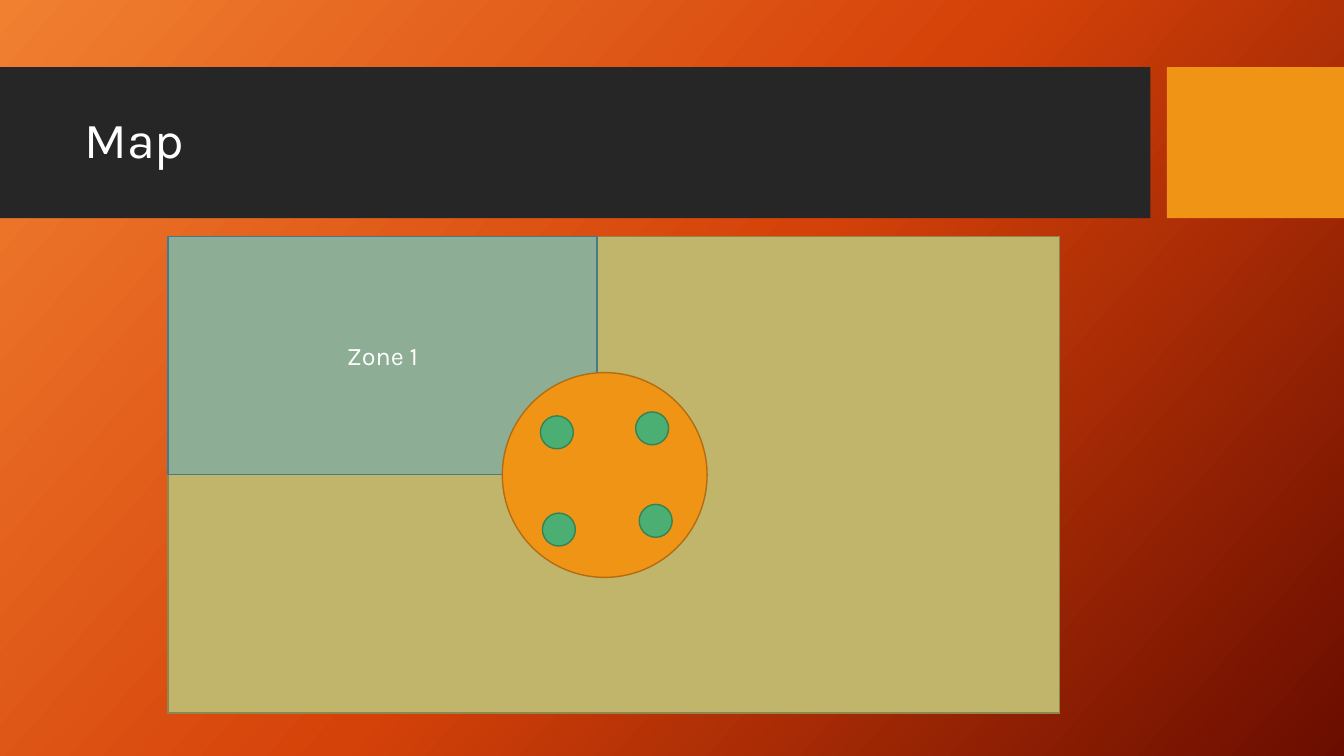
import copy

import pptx
import pptx.dml.color
import pptx.enum.shapes
import pptx.enum.text
import pptx.oxml
import pptx.oxml.ns
import pptx.util

Cm = pptx.util.Cm
Pt = pptx.util.Pt
SHAPE = pptx.enum.shapes.MSO_SHAPE
ALIGN = pptx.enum.text.PP_ALIGN
ANCHOR = pptx.enum.text.MSO_ANCHOR
qn = pptx.oxml.ns.qn

COLORS = {
    "glow": "F18031", "flame": "D54209", "ember": "6A0D00",
    "banner": "262626", "accent": "F09415", "accent_edge": "B26D10",
    "land": "C1B56B", "land_edge": "8F864F",
    "zone": "5AA6C0", "zone_edge": "437B8E",
    "spot": "4BAF73", "spot_edge": "378155", "text": "FFFFFF",
}


def rgb(name):
    return pptx.dml.color.RGBColor.from_string(COLORS[name])


class MapSlide:
    font = "Karla"
    edge_width = Pt(1)

    def __init__(self, deck):
        self.slide = deck.slides.add_slide(deck.slide_layouts[6])

    def background(self, names, angle):
        fill = self.slide.background.fill
        fill.gradient()
        fill.gradient_angle = 360 - angle  # the property runs counter-clockwise
        stop_list = next(self.slide.element.iter(qn("a:gsLst")))
        while len(stop_list) < len(names):
            stop_list.append(copy.deepcopy(stop_list[0]))
        for i, (stop, name) in enumerate(zip(fill.gradient_stops, names)):
            stop.position = i / (len(names) - 1)
            stop.color.rgb = rgb(name)

    def block(self, kind, box, fill, edge=None, opacity=None):
        block = self.slide.shapes.add_shape(kind, *map(Cm, box))
        block.shadow.inherit = False
        block.fill.solid()
        block.fill.fore_color.rgb = rgb(fill)
        if opacity is not None:
            color = next(block.element.iter(qn("a:srgbClr")))
            alpha = pptx.oxml.parse_xml(
                f'<a:alpha {pptx.oxml.ns.nsdecls("a")} val="{opacity * 1000}"/>')
            color.append(alpha)
        if edge:
            block.line.color.rgb = rgb(edge)
            block.line.width = self.edge_width
        else:
            block.line.fill.background()
        return block

    def circle(self, left, top, size, fill, edge):
        return self.block(SHAPE.FLOWCHART_CONNECTOR, (left, top, size, size), fill, edge)

    def label(self, holder, words, size, **paragraph_format):
        frame = holder.text_frame
        frame.word_wrap = True
        frame.vertical_anchor = ANCHOR.MIDDLE
        paragraph = frame.paragraphs[0]
        for key, value in paragraph_format.items():
            setattr(paragraph, key, value)
        run = paragraph.add_run()
        run.text = words
        for key, value in {"name": self.font, "size": Pt(size)}.items():
            setattr(run.font, key, value)
        run.font.color.rgb = rgb("text")

    def heading(self, box, words, size):
        heading = self.slide.shapes.add_textbox(*map(Cm, box))
        self.label(heading, words, size, alignment=ALIGN.LEFT, line_spacing=0.9)


def main():
    deck = pptx.Presentation()
    deck.slide_width, deck.slide_height = Cm(33.87), Cm(19.05)
    page = MapSlide(deck)
    page.background(["glow", "flame", "ember"], angle=42)

    # Title banner
    banner_top, banner_height = 1.69, 3.81
    page.block(SHAPE.RECTANGLE, (0, banner_top, 28.99, banner_height), "banner")
    page.block(SHAPE.RECTANGLE, (29.41, banner_top, 4.46, banner_height), "accent")
    page.heading((1.88, 2.08, 26.7, 3), "Map", 36)

    # Land and its first zone
    left, top, width, height = 4.23, 5.96, 22.48, 12.01
    page.block(SHAPE.RECTANGLE, (left, top, width, height), "land", "land_edge")
    zone = page.block(SHAPE.RECTANGLE, (left, top, 10.82, height / 2),
                      "zone", "zone_edge", opacity=50)
    page.label(zone, "Zone 1", 18, alignment=ALIGN.CENTER)

    # Central hub with four spots
    page.circle(12.66, 9.39, 5.16, "accent", "accent_edge")
    for spot_left, spot_top in [(16.02, 10.38), (13.62, 10.48),
                                (16.11, 12.71), (13.67, 12.93)]:
        page.circle(spot_left, spot_top, 0.83, "spot", "spot_edge")

    deck.save("out.pptx")


if __name__ == "__main__":
    main()
